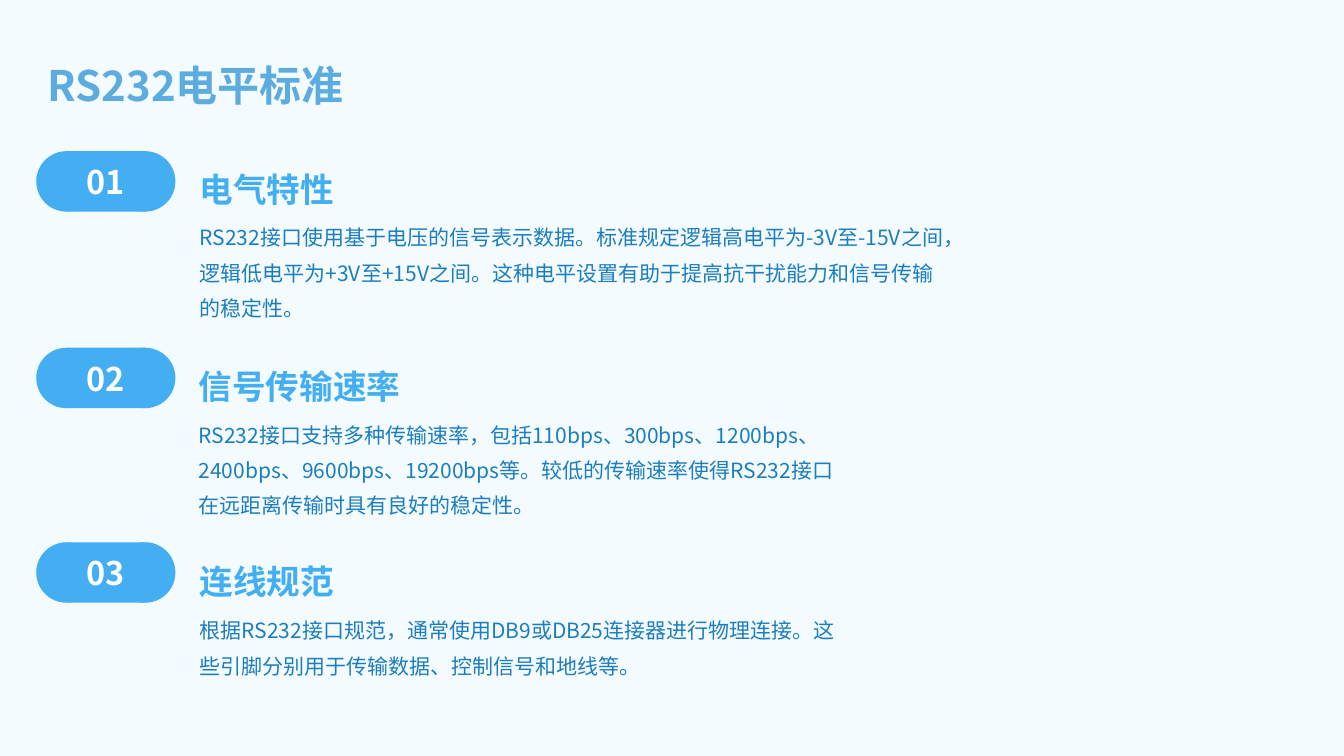
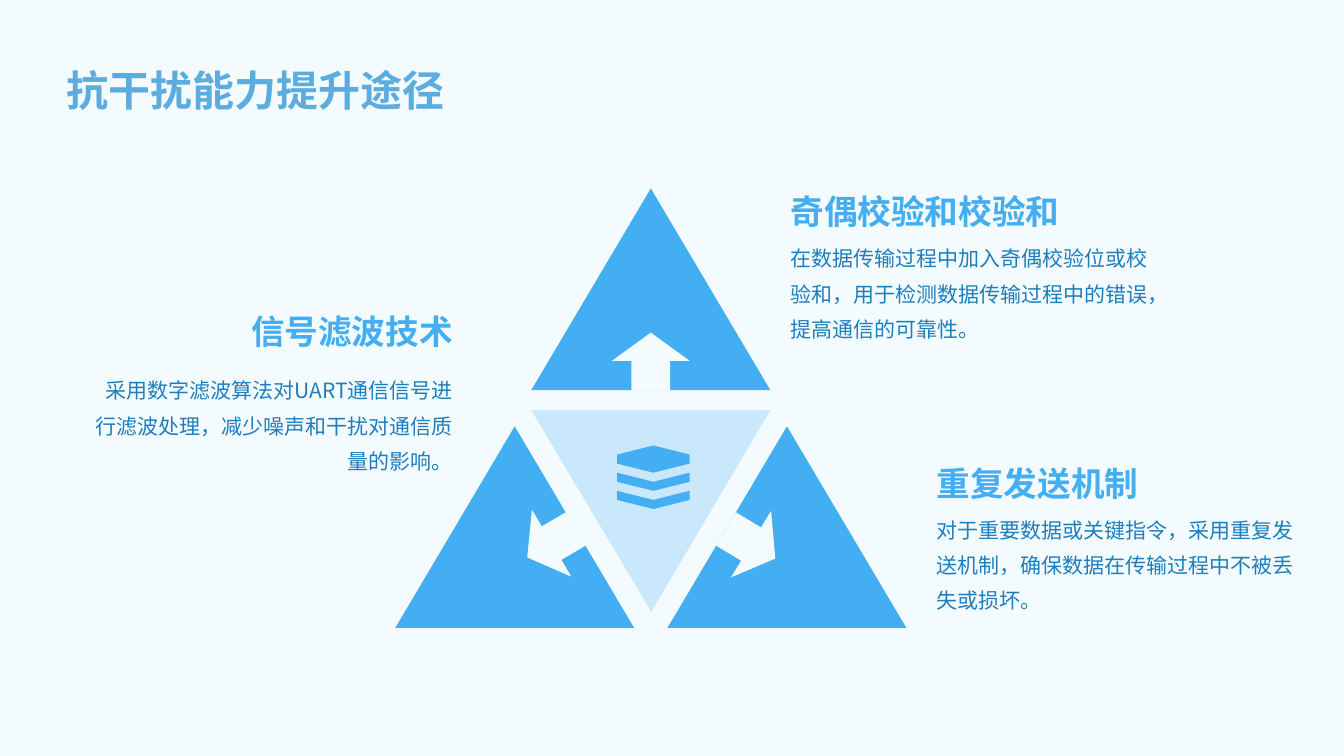
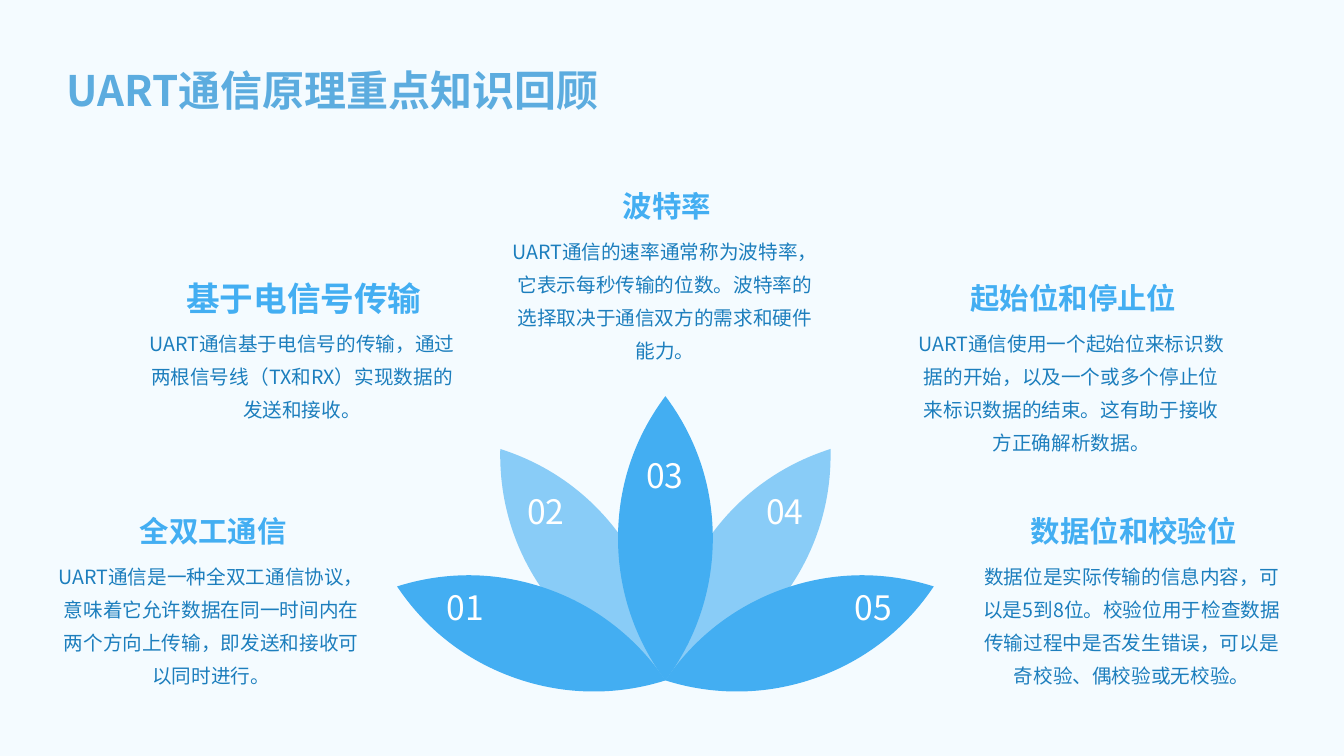
import math
from lxml import etree
from pptx import Presentation
from pptx.dml.color import RGBColor
from pptx.enum import shapes, text
from pptx.oxml import ns
from pptx.util import Inches, Pt

FONT = "Noto Sans CJK SC"
HUES = {"page": "F4FBFF", "title": "5CACDF", "main": "43AEF2",
        "body": "1C7EBD", "white": "FFFFFF"}
WIDE = (0.14, 0.14, 0.06, 0.14)
SLIM = (0.07, 0.04, 0.07, 0.04)
PLAIN = (0.1, 0.05, 0.1, 0.05)
LEFT, MID, RIGHT = text.PP_ALIGN.LEFT, text.PP_ALIGN.CENTER, text.PP_ALIGN.RIGHT
TOP, HALF, LOW = (text.MSO_ANCHOR.TOP, text.MSO_ANCHOR.MIDDLE,
                  text.MSO_ANCHOR.BOTTOM)
KIND = shapes.MSO_SHAPE


def shade(name):
    return RGBColor.from_string(HUES[name])


def write(slide, box, words, size, hue, bold=False, align=LEFT, anchor=TOP,
          pad=WIDE, lead=1.4, before=0):
    frame = slide.shapes.add_textbox(*map(Inches, box)).text_frame
    frame.word_wrap = True
    frame.vertical_anchor = anchor
    (frame.margin_left, frame.margin_top,
     frame.margin_right, frame.margin_bottom) = map(Inches, pad)
    para = frame.paragraphs[0]
    para.alignment = align
    para.line_spacing = lead
    para.space_before = Pt(before)
    run = para.add_run()
    run.text = words
    font = run.font
    font.name, font.size, font.bold = FONT, Pt(size), bold
    font.color.rgb = shade(hue)
    east = etree.SubElement(run._r.get_or_add_rPr(), ns.qn("a:ea"))
    east.set("typeface", FONT)


def paint(shape, hue, alpha=100):
    """Fill without line or shadow; alpha is a percentage."""
    shape.shadow.inherit = False
    shape.fill.solid()
    shape.fill.fore_color.rgb = shade(hue)
    shape.line.fill.background()
    if alpha < 100:
        tint = shape._element.find(".//" + ns.qn("a:srgbClr"))
        etree.SubElement(tint, ns.qn("a:alpha")).set("val", str(alpha * 1000))


def stamp(slide, kind, box):
    """Add a preset shape."""
    paint(slide.shapes.add_shape(kind, *map(Inches, box)), "main")


def trace(slide, rings, hue="main", alpha=100):
    """Add one outline made of closed rings of points."""
    rings = [[(Inches(x), Inches(y)) for x, y in ring] for ring in rings]
    pen = slide.shapes.build_freeform(*rings[0][0])
    for i, ring in enumerate(rings):
        if i:
            pen.move_to(*ring[0])
        pen.add_line_segments(ring[1:], close=True)
    shape = pen.convert_to_shape()
    paint(shape, hue, alpha)
    return shape


def bend(shape):
    """Turn every three line segments into one cubic curve."""
    lines = list(shape._element.iter(ns.qn("a:lnTo")))
    for i in range(0, len(lines) - 2, 3):
        curve = etree.Element(ns.qn("a:cubicBezTo"))
        lines[i].addprevious(curve)
        for line in lines[i:i + 3]:
            curve.append(line[0])
            line.getparent().remove(line)


def start(deck, words, box=(0.52, 0.29, 12.29, 1), anchor=HALF):
    """Add a blank slide with its title."""
    slide = deck.slides.add_slide(deck.slide_layouts[6])
    write(slide, box, words, 30, "title", True, anchor=anchor)
    return slide


def pill(slide, y, label):
    stamp(slide, KIND.RECTANGLE, (0.67, y, 0.77, 0.6))
    for x in (1.14, 0.36):
        stamp(slide, KIND.OVAL, (x, y, 0.6, 0.6))
    write(slide, (0.63, y + 0.04, 0.84, 0.52), label, 23.2, "white",
          True, MID, HALF, PLAIN, 1, 3.8)


def levels(deck):
    slide = start(deck, "RS232电平标准", (0.33, 0.25, 12.29, 0.9), TOP)
    rows = [
        (1.84, 1.5, 1.99, 7.65, "电气特性", "RS232接口使用基于电压的信号表示数据。标准规定逻辑高电平为-3V至-15V之间，逻辑低电平为+3V至+15V之间。这种电平设置有助于提高抗干扰能力和信号传输的稳定性。"),
        (1.83, 3.45, 3.95, 6.7, "信号传输速率", "RS232接口支持多种传输速率，包括110bps、300bps、1200bps、2400bps、9600bps、19200bps等。较低的传输速率使得RS232接口在远距离传输时具有良好的稳定性。"),
        (1.84, 5.38, 5.89, 6.7, "连线规范", "根据RS232接口规范，通常使用DB9或DB25连接器进行物理连接。这些引脚分别用于传输数据、控制信号和地线等。"),
    ]
    for i, (x, y, low, wide, head, body) in enumerate(rows, 1):
        pill(slide, y, f"{i:02}")
        write(slide, (x, y - 0.08, 6.88, 0.76), head, 24, "main", True,
              anchor=HALF)
        write(slide, (x, low, wide, 1.36), body, 15, "body")


def arrow(slide, x, y, turn):
    """Page-coloured block arrow with its box at x, y."""
    wide, high, neck = 0.77, 0.57, 0.28
    spots = ((0.5, 0), (0, neck), (0.25, neck), (0.25, high),
             (0.75, high), (0.75, neck), (1, neck))
    shape = trace(slide, [[(x + wide * a, y + b) for a, b in spots]], "page")
    shape.rotation = turn


def stack(slide, x, y, half):
    """Icon of a hexagonal lid over two chevron layers."""
    rings = []
    for i, rise in enumerate((-0.09, 0.09, 0.09)):
        top = y + 0.18 * i
        rings.append([(x - half, top), (x, top + rise), (x + half, top),
                      (x + half, top + 0.09), (x, top + 0.18),
                      (x - half, top + 0.09)])
    trace(slide, rings)


def noise(deck):
    slide = start(deck, "抗干扰能力提升途径")
    trace(slide, [[(5.27, 4.07), (6.46, 6.07), (7.64, 4.07)]], alpha=24)
    for x, y in ((6.62, 4.23), (3.92, 4.23), (5.27, 1.87)):
        stamp(slide, KIND.ISOSCELES_TRIANGLE, (x, y, 2.37, 2))
    for x, y, turn in ((6.07, 3.3, 0), (7.06, 5.11, 121), (5.09, 5.1, 239.6)):
        arrow(slide, x, y, turn)
    notes = [
        (7.7, 1.66, 2.2, LEFT, "奇偶校验和校验和", "在数据传输过程中加入奇偶校验位或校验和，用于检测数据传输过程中的错误，提高通信的可靠性。"),
        (9.15, 4.36, 4.89, LEFT, "重复发送机制", "对于重要数据或关键指令，采用重复发送机制，确保数据在传输过程中不被丢失或损坏。"),
        (0.74, 2.85, 3.51, RIGHT, "信号滤波技术", "采用数字滤波算法对UART通信信号进行滤波处理，减少噪声和干扰对通信质量的影响。"),
    ]
    for x, y, low, align, head, body in notes:
        write(slide, (x, y, 3.81, 0.77), head, 24, "main", True, align, LOW,
              lead=1.2)
        write(slide, (x, low, 3.81, 1.32), body, 15, "body", align=align)
    stack(slide, 6.48, 4.51, 0.36)


def petal(slide, turn, alpha):
    """Curved leaf, turned in degrees about the flower's root."""
    x, y = 6.6, 6.75
    side = [(0, 0), (0.3, 0.4), (0.47, 0.89), (0.47, 1.41),
            (0.47, 1.94), (0.3, 2.42), (0, 2.82)]
    leaf = side + [(-out, rise) for out, rise in side[-2::-1]]
    cos, sin = math.cos(math.radians(turn)), math.sin(math.radians(turn))
    bend(trace(slide, [[(x + out * cos + rise * sin, y + out * sin - rise * cos)
                        for out, rise in leaf]], alpha=alpha))


def review(deck):
    slide = start(deck, "UART通信原理重点知识回顾")
    for turn, alpha in ((70.7, 100), (35.5, 60), (-70.7, 100), (-35.5, 60),
                        (0, 100)):
        petal(slide, turn, alpha)
    notes = [
        (0.51, 4.96, 21, "全双工通信", "UART通信是一种全双工通信协议，意味着它允许数据在同一时间内在两个方向上传输，即发送和接收可以同时进行。"),
        (1.41, 2.65, 24, "基于电信号传输", "UART通信基于电信号的传输，通过两根信号线（TX和RX）实现数据的发送和接收。"),
        (5.01, 1.74, 21, "波特率", "UART通信的速率通常称为波特率，它表示每秒传输的位数。波特率的选择取决于通信双方的需求和硬件能力。"),
        (9.04, 2.65, 21, "起始位和停止位", "UART通信使用一个起始位来标识数据的开始，以及一个或多个停止位来标识数据的结束。这有助于接收方正确解析数据。"),
        (9.64, 4.96, 21, "数据位和校验位", "数据位是实际传输的信息内容，可以是5到8位。校验位用于检查数据传输过程中是否发生错误，可以是奇校验、偶校验或无校验。"),
    ]
    for x, y, size, head, body in notes:
        write(slide, (x, y, 3.21, 0.54), head, size, "main", True, MID, HALF,
              SLIM, 1.2)
        write(slide, (x - 0.02, y + 0.51, 3.21, 1.53), body, 14, "body",
              align=MID, pad=SLIM)
    spots = ((4.15, 5.76), (4.95, 4.81), (6.13, 4.45), (7.32, 4.81), (8.2, 5.76))
    for i, (x, y) in enumerate(spots, 1):
        write(slide, (x, y, 0.93, 0.53), f"{i:02}", 24, "white", False, MID,
              HALF, PLAIN, 1, 3.8)


def main():
    deck = Presentation()
    deck.slide_width, deck.slide_height = Inches(13.33), Inches(7.5)
    back = deck.slide_master.background.fill
    back.solid()
    back.fore_color.rgb = shade("page")
    levels(deck)
    noise(deck)
    review(deck)
    deck.save("out.pptx")


if __name__ == "__main__":
    main()
